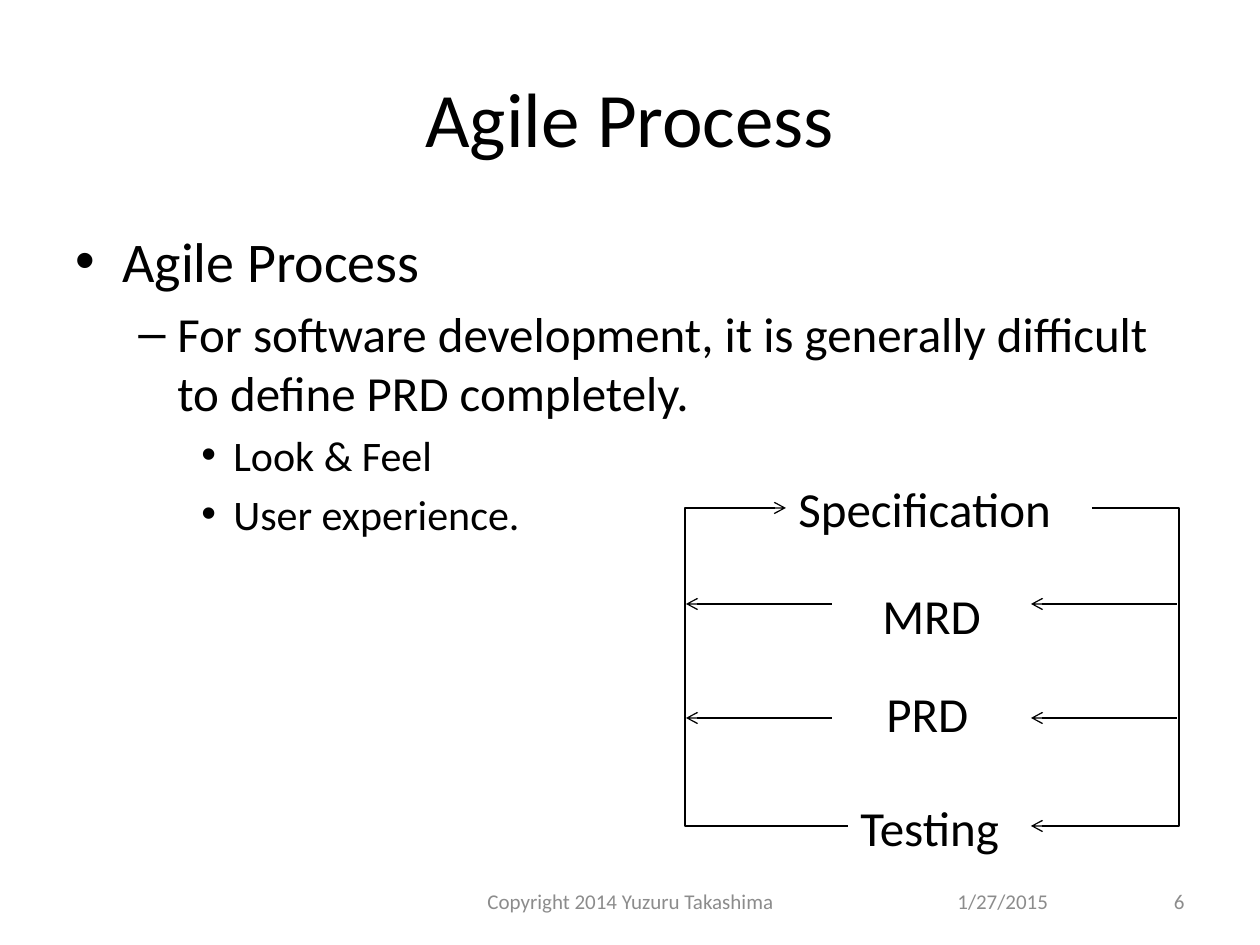
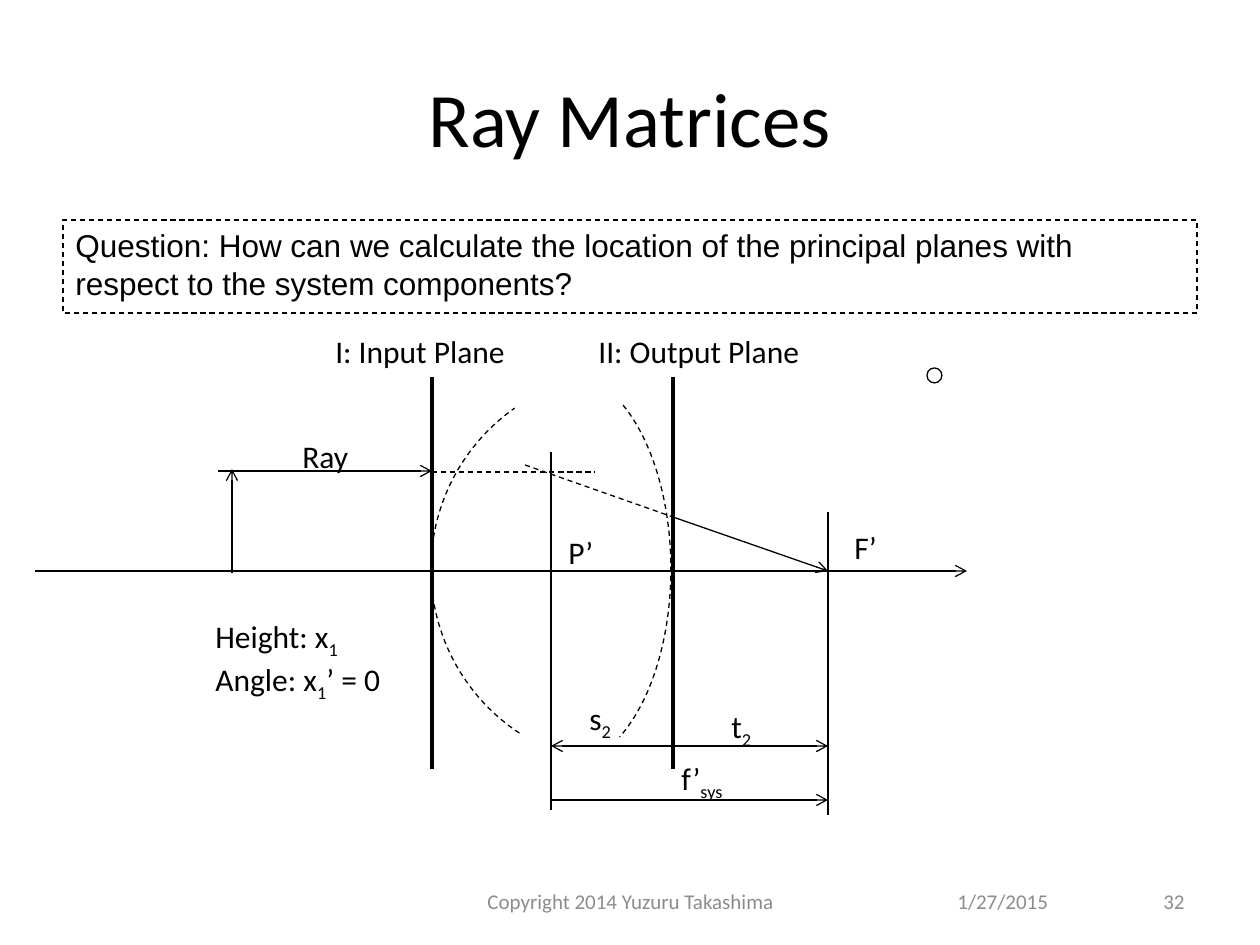
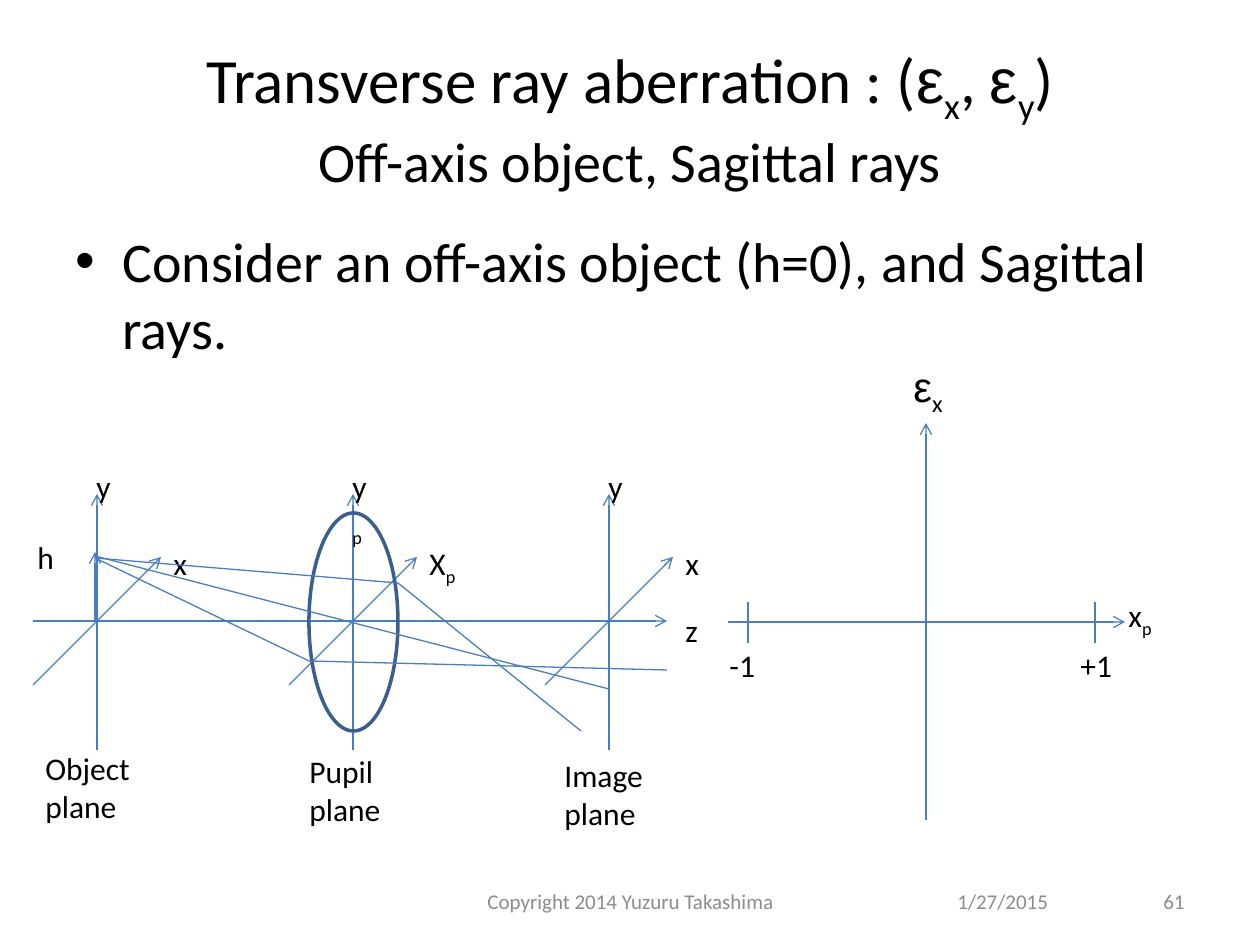
import itertools

import pptx
import pptx.dml.color
import pptx.enum.dml
import pptx.enum.shapes
import pptx.enum.text
import pptx.oxml
import pptx.oxml.ns
import pptx.util
from lxml import etree

SCALE = 914400 / 126  # EMU in one px
INK = {"text": "000000", "foot": "8C8C8C", "axis": "4B7EBC", "pupil": "3A5F8C"}
ALIGN = pptx.enum.text.PP_ALIGN
ANCHOR = pptx.enum.text.MSO_ANCHOR
KIND = pptx.enum.shapes.MSO_SHAPE
WIRE = pptx.enum.shapes.MSO_CONNECTOR
qn = pptx.oxml.ns.qn

# Size, bullet, text edge and hanging indent of each body level
LEVELS = [(32, "•", 47, 47), (28, "–", 102, 39), (24, "•", 158, 32)]


def px(n):
    return round(n * SCALE)


def ink(name):
    return pptx.dml.color.RGBColor.from_string(INK[name])


def add_runs(para, text, size, font, color):
    """Text between ~ marks is subscript; ε is set in Arial."""
    for i, part in enumerate(text.split("~")):
        for greek, chars in itertools.groupby(part, lambda c: c == "ε"):
            run = para.add_run()
            run.text = "".join(chars)
            run.font.size = pptx.util.Pt(size)
            run.font.name = "Arial" if greek else font
            run.font.color.rgb = ink(color)
            if i % 2:
                run._r.get_or_add_rPr().set("baseline", "-25000")


def write(frame, text, size=18, font="Calibri", color="text", align=ALIGN.LEFT,
          anchor=ANCHOR.TOP, wrap=True, sizes=None):
    """Fill a text frame, one paragraph a line; sizes may differ by line."""
    frame.word_wrap = wrap
    frame.vertical_anchor = anchor
    if not wrap:
        frame.auto_size = pptx.enum.text.MSO_AUTO_SIZE.SHAPE_TO_FIT_TEXT
    for i, row in enumerate(text.split("\n")):
        para = frame.add_paragraph() if i else frame.paragraphs[0]
        para.alignment = align
        add_runs(para, row, sizes[i] if sizes else size, font, color)


def label(slide, org, x, y, w, h, text, **form):
    box = slide.shapes.add_textbox(px(org[0] + x), px(org[1] + y), px(w), px(h))
    write(box.text_frame, text, **form)
    return box


def tag(slide, org, x, y, w, text, h=50, **form):
    """A one-line label that grows with its text."""
    label(slide, org, x, y, w, h, text, wrap=False, **form)


def stroke(line, color, width, dash):
    line.color.rgb = ink(color)
    line.width = pptx.util.Pt(width)
    if dash:
        line.dash_style = pptx.enum.dml.MSO_LINE.DASH


def line(slide, org, x1, y1, x2, y2, color="text", width=0.75, dash=False,
         arrow=False, via=None):
    """A straight line, or an elbow whose upright stands at via."""
    kind = WIRE.STRAIGHT if via is None else WIRE.ELBOW
    wire = slide.shapes.add_connector(
        kind, px(org[0] + x1), px(org[1] + y1), px(org[0] + x2), px(org[1] + y2))
    stroke(wire.line, color, width, dash)
    props = wire._element.spPr
    if via is not None:
        bend = round((via - x1) / (x2 - x1) * 100000)
        guides = props.find(qn("a:prstGeom")).get_or_add_avLst()
        etree.SubElement(guides, qn("a:gd"), name="adj1", fmla=f"val {bend}")
    if arrow:
        etree.SubElement(props.find(qn("a:ln")), qn("a:tailEnd"), type="arrow")
    etree.SubElement(props, qn("a:effectLst"))


def outline(slide, org, kind, x, y, w, h, color="text", width=0.75, dash=False):
    shape = slide.shapes.add_shape(
        kind, px(org[0] + x), px(org[1] + y), px(w), px(h))
    shape.shadow.inherit = False
    shape.fill.background()
    stroke(shape.line, color, width, dash)
    return shape


def arc(slide, org, x, y, w, h, start, end):
    """A dashed arc between two angles in degrees, clockwise."""
    shape = outline(slide, org, KIND.ARC, x, y, w, h, dash=True)
    shape.adjustments[0] = start * 0.6
    shape.adjustments[1] = end * 0.6


def base(deck, title, number, sizes=(44,)):
    """A blank slide with its title and footer."""
    slide = deck.slides.add_slide(deck.slide_layouts[6])
    label(slide, (63, 38), 0, 0, 1134, 158, title, sizes=sizes,
          align=ALIGN.CENTER, anchor=ANCHOR.MIDDLE)
    for x, w, text, align in [(945, 294, "1/27/2015", ALIGN.LEFT),
                              (431, 399, "Copyright 2014 Yuzuru Takashima", ALIGN.CENTER),
                              (903, 294, str(number), ALIGN.RIGHT)]:
        label(slide, (0, 876), x, 0, w, 50, text, size=12, color="foot",
              align=align, anchor=ANCHOR.MIDDLE)
    return slide


def body(slide, rows):
    """Bulleted text from (level, text) rows."""
    box = label(slide, (63, 220), 0, 0, 1134, 624, "\n".join(t for _, t in rows),
                sizes=[LEVELS[n][0] for n, _ in rows])
    for i, (para, (level, _)) in enumerate(zip(box.text_frame.paragraphs, rows)):
        size, mark, edge, hang = LEVELS[level]
        para.level = level
        if i:
            para.space_before = pptx.util.Pt(size * 0.2)
        props = para._p.get_or_add_pPr()
        props.set("marL", str(px(edge)))
        props.set("indent", str(-px(hang)))
        etree.SubElement(props, qn("a:buFont"), typeface="Arial")
        etree.SubElement(props, qn("a:buChar"), char=mark)


def cycle(slide, org):
    """Four stages between two return loops."""
    for x, y, w, text in [(101, 0, 306, "Specification"), (185, 107, 139, "MRD"),
                          (189, 205, 130, "PRD"), (163, 319, 183, "Testing")]:
        tag(slide, org, x, y, w, text, h=72, size=28)
    line(slide, org, 407, 36, 346, 354, via=494, arrow=True)
    line(slide, org, 163, 354, 101, 36, via=0, arrow=True)
    for y in (132, 246):
        for x in (492, 147):
            line(slide, org, x, y, x - 146, y, arrow=True)


def lens(slide, org):
    """Ray path through a thick lens, with its planes and distances."""
    axis, front, back, main, focus = 245, 397, 638, 516, 793
    # Lens faces, planes and optical axis
    arc(slide, org, 396, 46, 396, 394, 123.7, 234.6)
    arc(slide, org, 421, 46, 215, 394, 290, 71.5)
    outline(slide, org, KIND.OVAL, 892, 42, 15, 15)
    line(slide, org, 0, axis, 932, axis, arrow=True)
    for x, top, end, width in [(front, 51, 443, 2), (back, 51, 443, 2),
                               (main, 126, 484, 0.75), (focus, 186, 489, 0.75)]:
        line(slide, org, x, top, x, end, width=width)
    # Ray and its height
    line(slide, org, 183, 145, front, 145, arrow=True)
    line(slide, org, 197, 247, 197, 143, arrow=True)
    line(slide, org, front, 146, 560, 146, dash=True)
    line(slide, org, 490, 139, back, 191, dash=True)
    line(slide, org, back, 191, focus, axis, arrow=True)
    # Distances
    for x1, x2, y in [(back, focus, 420), (back, main, 420), (main, focus, 474)]:
        line(slide, org, x1, y, x2, y, arrow=True)
    # Labels
    for x, y, w, text in [(288, 0, 213, "I: Input Plane"), (551, 0, 247, "II: Output Plane"),
                          (255, 105, 82, "Ray"), (807, 196, 52, "F’"), (521, 201, 54, "P’"),
                          (684, 375, 45, "t~2~"), (542, 367, 53, "s~2~"),
                          (634, 427, 73, "f’~sys~")]:
        tag(slide, org, x, y, w, text)
    tag(slide, org, 168, 285, 218, "Height: x~1~\nAngle: x~1~’ = 0", h=90)


def system(slide, org):
    """Object, pupil and image planes along the z axis."""
    mid, step = 160, 64
    planes = [("y", "x", "Object plane", 0, 282, 122),
              ("y~p~", "X~p~", "Pupil plane", 264, 285, 110),
              ("y", "x", "Image plane", 519, 289, 118)]
    line(slide, org, 0, mid, 634, mid, color="axis", arrow=True)
    tag(slide, org, 640, 144, 40, "z", h=33)
    for i, (up, side, name, x, y, w) in enumerate(planes):
        c = step + 256 * i
        line(slide, org, c - step, mid + step, c + step, mid - step,
             color="axis", arrow=True)
        line(slide, org, c, 289, c, 33, color="axis", arrow=True)
        label(slide, org, c - 13, 0, 33, 33, up)
        tag(slide, org, c + step, 77, 55 if "~" in side else 39, side)
        label(slide, org, x, y, w, 33, name)
    outline(slide, org, KIND.OVAL, 276, 52, 89, 218, color="pupil", width=2)
    # Object height and rays
    line(slide, org, 62, mid, 62, 91, color="axis", arrow=True)
    tag(slide, org, -8, 71, 43, "h")
    for ends in [(62, 97, 365, 122), (365, 122, 548, 270), (62, 97, 276, 200),
                 (276, 200, 634, 209), (62, 95, 576, 228)]:
        line(slide, org, *ends, color="axis")


def graph(slide, org):
    """Empty axes for aberration against pupil position."""
    line(slide, org, 0, 268, 397, 268, color="axis", arrow=True)
    line(slide, org, 198, 466, 198, 69, color="axis", arrow=True)
    for x in (20, 367):
        line(slide, org, x, 248, x, 289, color="axis")
    label(slide, org, 388, 236, 143, 50, "x~p~")
    tag(slide, org, 173, 0, 57, "ε~x~", h=63, size=24)
    tag(slide, org, -11, 286, 52, "-1")
    tag(slide, org, 340, 286, 58, "+1")


def main():
    deck = pptx.Presentation()
    deck.slide_width, deck.slide_height = px(1260), px(945)

    slide = base(deck, "Agile Process", 6)
    body(slide, [(0, "Agile Process"),
                 (1, "For software development, it is generally difficult "
                     "to define PRD completely."),
                 (2, "Look & Feel"), (2, "User experience.")])
    cycle(slide, (685, 472))

    slide = base(deck, "Ray Matrices", 32)
    box = outline(slide, (63, 220), KIND.RECTANGLE, 0, 0, 1134, 93, dash=True)
    write(box.text_frame, "Question: How can we calculate the location of the principal "
          "planes with respect to the system components?", font="Arial")
    lens(slide, (35, 326))

    slide = base(deck, "Transverse ray aberration : (ε~x~, ε~y~)\n"
                 "Off-axis object, Sagittal rays", 61, sizes=(36, 32))
    body(slide, [(0, "Consider an off-axis object (h=0), and Sagittal rays.")])
    system(slide, (33, 461))
    graph(slide, (728, 354))

    deck.save("out.pptx")


if __name__ == "__main__":
    main()
